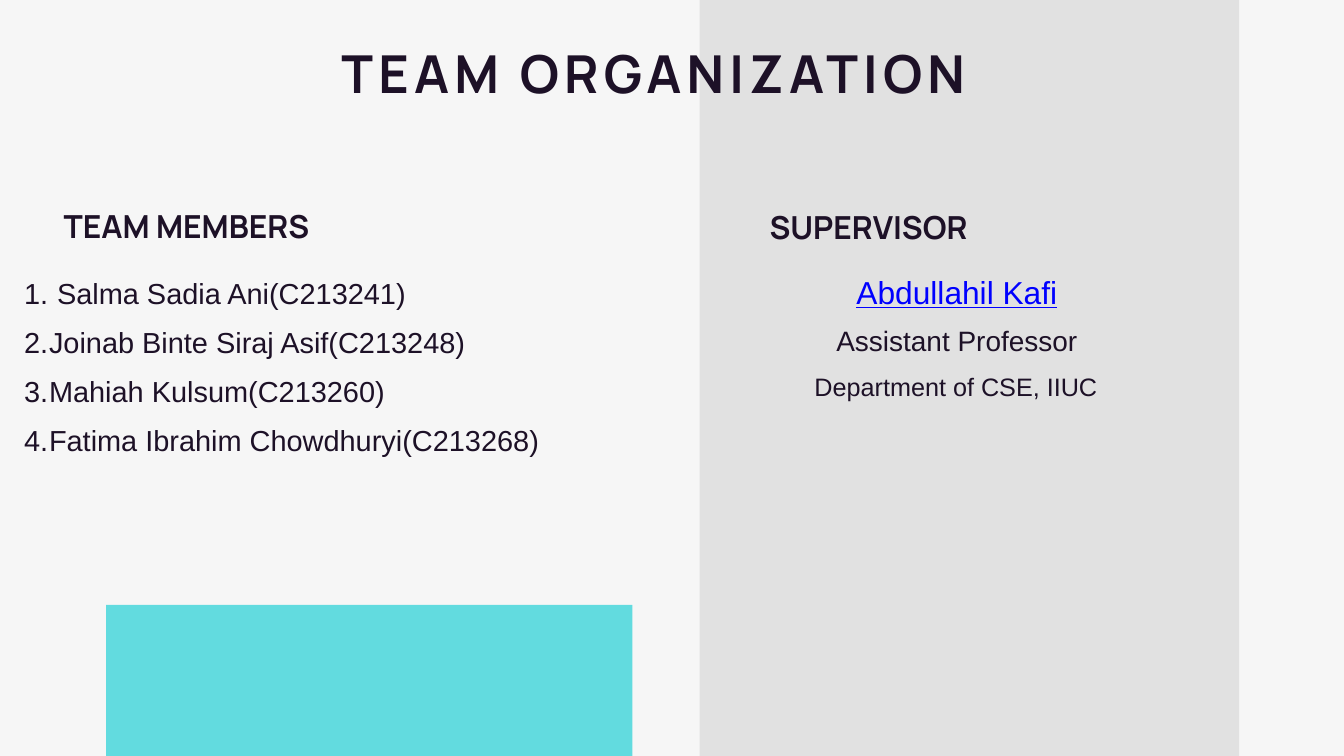
from lxml import etree
from pptx import Presentation
from pptx.dml.color import RGBColor
from pptx.enum.shapes import MSO_SHAPE
from pptx.enum.text import PP_ALIGN
from pptx.oxml.ns import qn
from pptx.util import Inches, Pt

RECT = MSO_SHAPE.RECTANGLE
LEFT, CENTER = PP_ALIGN.LEFT, PP_ALIGN.CENTER
PAPER, GREY, TEAL, INK, BLUE = "F6F6F6", "E1E1E1", "62DBDF", "1D1127", "0000FF"
HEAD, BODY = "Manrope", "Arial"

TEAM = [
    " Salma Sadia Ani(C213241)",
    "Joinab Binte Siraj Asif(C213248)",
    "Mahiah Kulsum(C213260)",
    "Fatima Ibrahim Chowdhuryi(C213268)",
]


def color(code):
    return RGBColor.from_string(code)


def add_block(slide, box, fill):
    block = slide.shapes.add_shape(RECT, *map(Inches, box))
    block.shadow.inherit = False
    block.fill.solid()
    block.fill.fore_color.rgb = color(fill)
    block.line.fill.background()


def number(para):
    """Give a paragraph an automatic number with a hanging indent."""
    props = para._p.get_or_add_pPr()
    props.set("marL", str(Inches(0.73)))
    props.set("indent", str(Inches(-0.37)))
    etree.SubElement(props, qn("a:buFont"), typeface=BODY)
    etree.SubElement(props, qn("a:buAutoNum"), type="arabicPeriod")


def add_text(slide, box, text, size, lead, font=BODY, ink=INK, bold=False,
             line=False, align=CENTER, track=0, numbered=False):
    frame = slide.shapes.add_textbox(*map(Inches, box)).text_frame
    frame.word_wrap = True
    frame.margin_left = frame.margin_right = 0
    frame.margin_top = frame.margin_bottom = 0
    rows = [text] if isinstance(text, str) else text
    for i, row in enumerate(rows):
        para = frame.paragraphs[0] if i == 0 else frame.add_paragraph()
        if numbered:
            para.level = 1
            number(para)
        para.alignment = align
        para.line_spacing = Pt(lead)
        run = para.add_run()
        run.text = row
        run.font.name, run.font.size = font, Pt(size)
        run.font.bold, run.font.underline = bold, line
        run.font.color.rgb = color(ink)
        if track:
            run._r.get_or_add_rPr().set("spc", str(round(track * 100)))


def add_title(slide, box):
    add_text(slide, box, "TEAM ORGANIZATION", 56, 67.2, font=HEAD,
             bold=True, align=LEFT, track=5.6)


def add_team(slide, left, top):
    # Heading and numbered members
    add_text(slide, (left + 0.47, top, 4.61, 0.66), "TEAM MEMBERS", 34, 47.6,
             font=HEAD, bold=True)
    add_text(slide, (left, top + 0.89, 8.03, 3.66), TEAM, 31, 52.7,
             align=LEFT, numbered=True)


def add_guide(slide, left, top):
    # Heading, then name, post and department
    add_text(slide, (left, top, 3.81, 0.62), "SUPERVISOR", 34, 47.6,
             font=HEAD, bold=True)
    add_text(slide, (left + 0.87, top + 0.97, 4.7, 0.71), "Abdullahil Kafi",
             34, 47.6, ink=BLUE, line=True)
    add_text(slide, (left + 0.87, top + 1.74, 4.7, 0.64),
             "Assistant Professor", 30, 42)
    add_text(slide, (left - 0.03, top + 2.46, 6.47, 1.21),
             "Department of CSE, IIUC", 27, 37.8)


def main():
    deck = Presentation()
    deck.slide_width, deck.slide_height = Inches(20), Inches(11.25)
    slide = deck.slides.add_slide(deck.slide_layouts[6])
    slide.background.fill.solid()
    slide.background.fill.fore_color.rgb = color(PAPER)

    # Colour blocks that bleed over the slide edges
    add_block(slide, (10.41, -0.9, 8.03, 12.66), GREY)
    add_block(slide, (1.58, 9, 7.83, 2.46), TEAL)

    add_title(slide, (5.08, 0.61, 10.12, 0.94))
    add_team(slide, 0, 2.99)
    add_guide(slide, 11.02, 2.99)
    deck.save("out.pptx")


if __name__ == "__main__":
    main()
